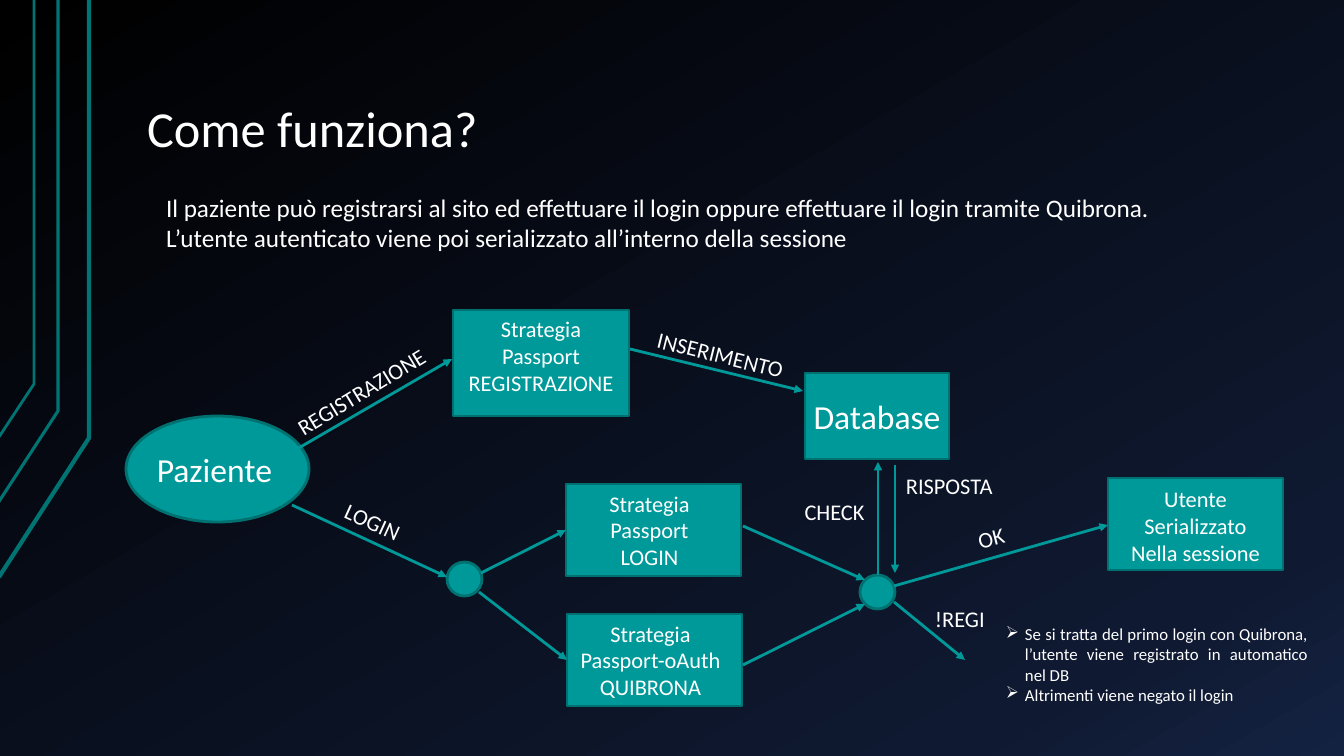
"""Build the slide on how patients register and log in."""
from copy import deepcopy
from typing import NamedTuple

from lxml import etree
from pptx import Presentation
from pptx import util as u
from pptx.dml.color import RGBColor
from pptx.enum import shapes, text
from pptx.oxml import ns

SCALE = 914400 / 100.8
FONT = "Calibri"
WHITE = RGBColor(0xFF, 0xFF, 0xFF)
TEAL = RGBColor(0x00, 0x99, 0x99)
EDGE = RGBColor(0x00, 0x71, 0x71)
RAIL = RGBColor(0x00, 0x73, 0x73)
STOPS = [
    (0, RGBColor(0x00, 0x00, 0x00)),
    (0.85, RGBColor(0x0F, 0x19, 0x31)),
    (1, RGBColor(0x14, 0x22, 0x42)),
]
RECT, OVAL = shapes.MSO_SHAPE.RECTANGLE, shapes.MSO_SHAPE.OVAL
TOP, MIDDLE = text.MSO_ANCHOR.TOP, text.MSO_ANCHOR.MIDDLE
LEFT, CENTER, FULL = text.PP_ALIGN.LEFT, text.PP_ALIGN.CENTER, text.PP_ALIGN.JUSTIFY


class Box(NamedTuple):
    left: int
    top: int
    width: int
    height: int


class Pad(NamedTuple):
    left: int = 10
    top: int = 5
    right: int = 10
    bottom: int = 5


class Rail(NamedTuple):
    foot: tuple[int, int]
    bend: tuple[int, int]
    weight: float


class Node(NamedTuple):
    kind: shapes.MSO_SHAPE
    box: Box
    words: str = ""
    size: int = 16
    pad: Pad = Pad()
    anchor: text.MSO_ANCHOR = MIDDLE


class Arrow(NamedTuple):
    start: tuple[int, int]
    end: tuple[int, int]


class Label(NamedTuple):
    words: str
    box: Box
    size: int = 16
    align: text.PP_ALIGN = CENTER
    turn: float = 0


RAILS = [
    Rail((-1, 577), (89, 438), 3),
    Rail((-2, 503), (58, 411), 2.25),
    Rail((-1, 437), (34, 384), 2),
]
SHIFT = Pad(right=18)
NODES = [
    Node(RECT, Box(453, 310, 176, 106), "Strategia Passport\nREGISTRAZIONE", anchor=TOP),
    Node(RECT, Box(805, 373, 144, 86), "Database", 24, Pad(left=2, right=2)),
    Node(OVAL, Box(126, 416, 183, 106), "Paziente", 24, Pad(left=2, right=8)),
    Node(RECT, Box(566, 484, 175, 92), "Strategia Passport\nLOGIN", pad=SHIFT),
    Node(RECT, Box(567, 614, 175, 92), "Strategia\nPassport-oAuth\nQUIBRONA", pad=SHIFT),
    Node(RECT, Box(1108, 478, 175, 92), "Utente\nSerializzato\nNella sessione", pad=Pad(top=8)),
    Node(OVAL, Box(447, 562, 35, 34)),
    Node(OVAL, Box(860, 575, 35, 34)),
]
ARROWS = [
    Arrow((297, 449), (452, 359)),
    Arrow((292, 505), (447, 577)),
    Arrow((630, 349), (803, 391)),
    Arrow((878, 575), (878, 462)),
    Arrow((481, 573), (566, 530)),
    Arrow((479, 592), (567, 660)),
    Arrow((743, 526), (865, 580)),
    Arrow((743, 665), (865, 604)),
    Arrow((895, 465), (895, 573)),
    Arrow((894, 586), (1108, 525)),
    Arrow((894, 602), (965, 660)),
]
LABELS = [
    Label("Il paziente può registrarsi al sito ed effettuare il login oppure effettuare "
          "il login tramite Quibrona. L’utente autenticato viene poi serializzato "
          "all’interno della sessione", Box(156, 187, 1037, 72), 18, LEFT),
    Label("REGISTRAZIONE", Box(263, 373, 196, 37), turn=328.6),
    Label("LOGIN", Box(332, 512, 120, 37), align=LEFT, turn=24.4),
    Label("INSERIMENTO", Box(641, 336, 159, 37), turn=13.9),
    Label("CHECK", Box(755, 493, 159, 37)),
    Label("RISPOSTA", Box(896, 467, 112, 37), align=LEFT),
    Label("OK", Box(964, 519, 54, 37), turn=345.9),
    Label("!REGI", Box(925, 600, 87, 37), align=LEFT),
]
NOTES = Label("Se si tratta del primo login con Quibrona, l’utente viene registrato in "
              "automatico nel DB\nAltrimenti viene negato il login",
              Box(996, 619, 322, 94), 12, FULL)


def px(count: float) -> u.Emu:
    """Turn pixels into EMU."""
    return u.Emu(round(count * SCALE))


def write(shape, words: str, size: int, align, anchor=TOP, pad: Pad = Pad()) -> None:
    """Set and format the text of a shape."""
    frame = shape.text_frame
    frame.text = words
    frame.word_wrap = True
    frame.auto_size = text.MSO_AUTO_SIZE.NONE
    frame.vertical_anchor = anchor
    frame.margin_left, frame.margin_top, frame.margin_right, frame.margin_bottom = map(px, pad)
    for para in frame.paragraphs:
        para.alignment = align
        for run in para.runs:
            run.font.size = u.Pt(size)
            run.font.name = FONT
            run.font.color.rgb = WHITE


def paint(slide) -> None:
    """Fill the background with the dark gradient."""
    fill = slide.background.fill
    fill.gradient()
    fill.gradient_angle = 300
    stops = slide.element.find(".//" + ns.qn("a:gsLst"))
    stops.append(deepcopy(stops[0]))
    for stop, (place, color) in zip(fill.gradient_stops, STOPS):
        stop.position = place
        stop.color.rgb = color


def add_rail(slide, rail: Rail) -> None:
    """Draw one bent line at the left edge."""
    pen = slide.shapes.build_freeform(*map(px, rail.foot))
    ends = [rail.bend, (rail.bend[0], 0)]
    pen.add_line_segments([(px(x), px(y)) for x, y in ends], close=False)
    shape = pen.convert_to_shape()
    shape.shadow.inherit = False
    shape.fill.background()
    shape.line.color.rgb = RAIL
    shape.line.width = u.Pt(rail.weight)


def add_node(slide, node: Node) -> None:
    """Draw one step of the flow."""
    shape = slide.shapes.add_shape(node.kind, *map(px, node.box))
    shape.shadow.inherit = False
    shape.fill.solid()
    shape.fill.fore_color.rgb = TEAL
    shape.line.color.rgb = EDGE
    shape.line.width = u.Pt(2)
    if node.words:
        write(shape, node.words, node.size, CENTER, node.anchor, node.pad)


def add_arrow(slide, arrow: Arrow) -> None:
    """Draw one arrow between steps."""
    line = slide.shapes.add_connector(
        shapes.MSO_CONNECTOR.STRAIGHT, *map(px, arrow.start + arrow.end))
    line.line.color.rgb = TEAL
    line.line.width = u.Pt(2)
    etree.SubElement(line.line._get_or_add_ln(), ns.qn("a:tailEnd"), type="triangle")
    etree.SubElement(line._element.spPr, ns.qn("a:effectLst"))


def add_label(slide, label: Label):
    """Place one text box and return it."""
    shape = slide.shapes.add_textbox(*map(px, label.box))
    shape.rotation = label.turn
    write(shape, label.words, label.size, label.align)
    return shape


def add_notes(slide, label: Label) -> None:
    """Place the list with arrow bullets."""
    for para in add_label(slide, label).text_frame.paragraphs:
        props = para._p.get_or_add_pPr()
        props.set("marL", str(px(19)))
        props.set("indent", str(px(-19)))
        etree.SubElement(props, ns.qn("a:buChar"), char="➢")


def main() -> None:
    """Build and save the slide."""
    deck = Presentation()
    deck.slide_width, deck.slide_height = px(1344), px(756)
    slide = deck.slides.add_slide(deck.slide_layouts[5])
    paint(slide)
    title = slide.shapes.title
    title.left, title.top, title.width, title.height = map(px, Box(134, 30, 1142, 135))
    write(title, "Come funziona?", 36, LEFT, text.MSO_ANCHOR.BOTTOM, Pad(13, 7, 13, 7))
    title.text_frame.paragraphs[0].line_spacing = 0.9
    for draw, items in ((add_rail, RAILS), (add_node, NODES),
                        (add_arrow, ARROWS), (add_label, LABELS)):
        for item in items:
            draw(slide, item)
    add_notes(slide, NOTES)
    deck.save("out.pptx")


main()
